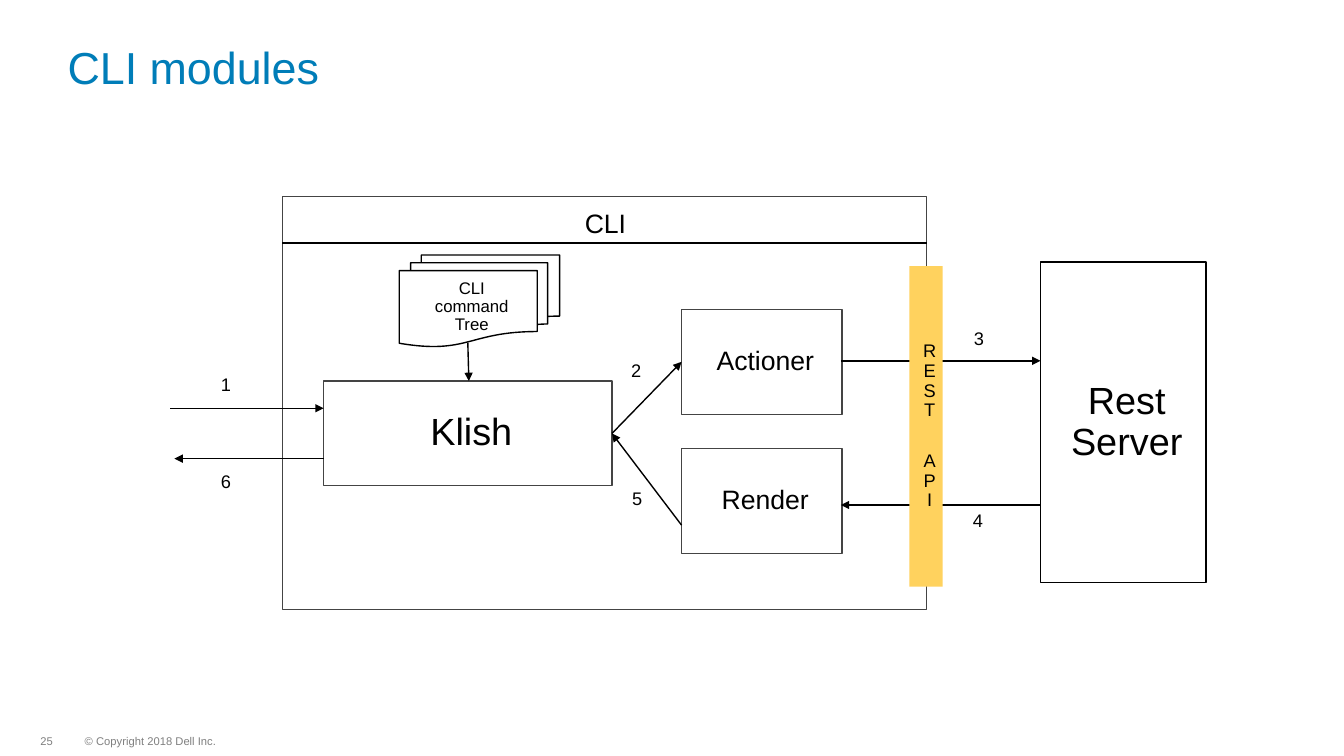
from lxml import etree
from pptx import Presentation
from pptx.dml.color import RGBColor
from pptx.enum.shapes import MSO_CONNECTOR, MSO_SHAPE
from pptx.enum.text import MSO_ANCHOR, PP_ALIGN
from pptx.oxml.ns import qn
from pptx.util import Inches, Pt

BLACK = RGBColor(0x00, 0x00, 0x00)
WHITE = RGBColor(0xFF, 0xFF, 0xFF)
BORDER = RGBColor(0x44, 0x44, 0x44)
BLUE = RGBColor(0x00, 0x7D, 0xB8)
GREY = RGBColor(0x7F, 0x7F, 0x7F)
YELLOW = RGBColor(0xFF, 0xD2, 0x5E)

NO_INSETS = (0, 0, 0, 0)
LABEL_INSETS = (0.13, 0.07, 0.13, 0.07)
BOX_INSETS = (0.27, 0.2, 0.2, 0.2)


def write(sp, text, size, color, insets, anchor, align, spacing):
    tf = sp.text_frame
    tf.text = text
    tf.word_wrap = True
    tf.vertical_anchor = anchor
    tf.margin_left, tf.margin_top, tf.margin_right, tf.margin_bottom = map(Inches, insets)
    for p in tf.paragraphs:
        p.alignment = align
        p.line_spacing = spacing
        for r in p.runs:
            r.font.name = "Arial"
            r.font.size = Pt(size)
            r.font.color.rgb = color


def add_text(s, box, text, size, color=BLACK, insets=LABEL_INSETS,
             anchor=MSO_ANCHOR.TOP, spacing=1.0):
    sp = s.shapes.add_textbox(*map(Inches, box))
    write(sp, text, size, color, insets, anchor, PP_ALIGN.LEFT, spacing)


def add_box(s, box, text="", size=19, line=BORDER, fill=WHITE, shape=MSO_SHAPE.RECTANGLE):
    sp = s.shapes.add_shape(shape, *map(Inches, box))
    sp.shadow.inherit = False
    sp.fill.solid()
    sp.fill.fore_color.rgb = fill
    if line is None:
        sp.line.fill.background()
    else:
        sp.line.color.rgb = line
        sp.line.width = Pt(1)
    if text:
        write(sp, text, size, BLACK, BOX_INSETS, MSO_ANCHOR.MIDDLE, PP_ALIGN.CENTER, 0.9)
    return sp


def add_line(s, start, end, arrow=True):
    line = s.shapes.add_connector(MSO_CONNECTOR.STRAIGHT, *map(Inches, start + end))
    line.line.color.rgb = BLACK
    line.line.width = Pt(1)
    if arrow:
        etree.SubElement(line.line._get_or_add_ln(), qn("a:tailEnd"), type="triangle")
    etree.SubElement(line._element.spPr, qn("a:effectLst"))


def add_title_and_footer(s, width, height):
    add_text(s, (0.67, 0.45, width - 1.67, 0.48), "CLI modules", 32, BLUE, NO_INSETS, spacing=0.9)
    for left, w, text in ((0.4, 0.14, "25"), (0.84, 1.32, "© Copyright 2018 Dell Inc.")):
        add_text(s, (left, height - 0.2, w, 0.12), text, 8, GREY, NO_INSETS,
                 MSO_ANCHOR.MIDDLE, 0.9)


def add_cli_panel(s, left, top, width, height):
    """Draw the CLI frame with its modules and the arrows between them."""
    add_box(s, (left, top, width, height))
    add_line(s, (left, top + 0.46), (left + width, top + 0.46), arrow=False)
    add_text(s, (left + 2.87, top + 0.03, 0.81, 0.45), "CLI", 19)

    klish_left, klish_top, klish_width = left + 0.41, top + 1.83, 2.86
    klish_right, klish_middle = klish_left + klish_width, klish_top + 0.52
    module_left = left + 3.96
    add_box(s, (klish_left, klish_top, klish_width, 1.04), "Klish", 27)
    add_box(s, (left + 1.16, top + 0.58, 1.59, 0.91), "CLI command Tree", 12, BLACK,
            shape=MSO_SHAPE.FLOWCHART_MULTIDOCUMENT)
    for i, name in enumerate(("Actioner", "Render")):
        add_box(s, (module_left, top + 1.12 + 1.38 * i, 1.59, 1.04), name)

    add_line(s, (left + 1.84, top + 1.45), (left + 1.85, klish_top))
    add_line(s, (klish_right, klish_middle), (module_left, top + 1.64))
    add_line(s, (module_left, top + 3.26), (klish_right, klish_middle))
    add_text(s, (left + 3.33, top + 1.54, 0.38, 0.36), "2", 13)
    add_text(s, (left + 3.37, top + 2.81, 0.23, 0.36), "5", 13)


def add_user_arrows(s, left, top, right):
    add_line(s, (left, top), (right, top))
    add_line(s, (right, top + 0.5), (left + 0.04, top + 0.5))
    for step, offset in (("1", -0.42), ("6", 0.55)):
        add_text(s, (left + 0.37, top + offset, 0.39, 0.36), step, 13)


def add_rest_side(s, left, top, width, height, module_right):
    """Draw the REST server, the API bar and the arrows to the CLI modules."""
    add_box(s, (left, top, width, height), "Rest Server", 27, BLACK)
    add_line(s, (module_right, top + 0.98), (left, top + 0.98))
    add_line(s, (left, top + 2.41), (module_right, top + 2.41))
    bar = add_box(s, (left - 1.3, top + 0.04, 0.33, height), "REST\nAPI", 13, None, YELLOW)
    bar.text_frame.paragraphs[1].space_before = Pt(22)
    add_text(s, (left - 0.79, top + 0.58, 0.43, 0.36), "3", 13)
    add_text(s, (left - 0.8, top + 2.38, 0.33, 0.36), "4", 13)


def main():
    prs = Presentation()
    prs.slide_width, prs.slide_height = Inches(13.33), Inches(7.5)
    s = prs.slides.add_slide(prs.slide_layouts[6])
    add_title_and_footer(s, 13.33, 7.5)
    add_cli_panel(s, 2.8, 1.95, 6.39, 4.1)
    add_user_arrows(s, 1.69, 4.05, 3.21)
    add_rest_side(s, 10.32, 2.6, 1.64, 3.18, 8.34)
    prs.save("out.pptx")


if __name__ == "__main__":
    main()
